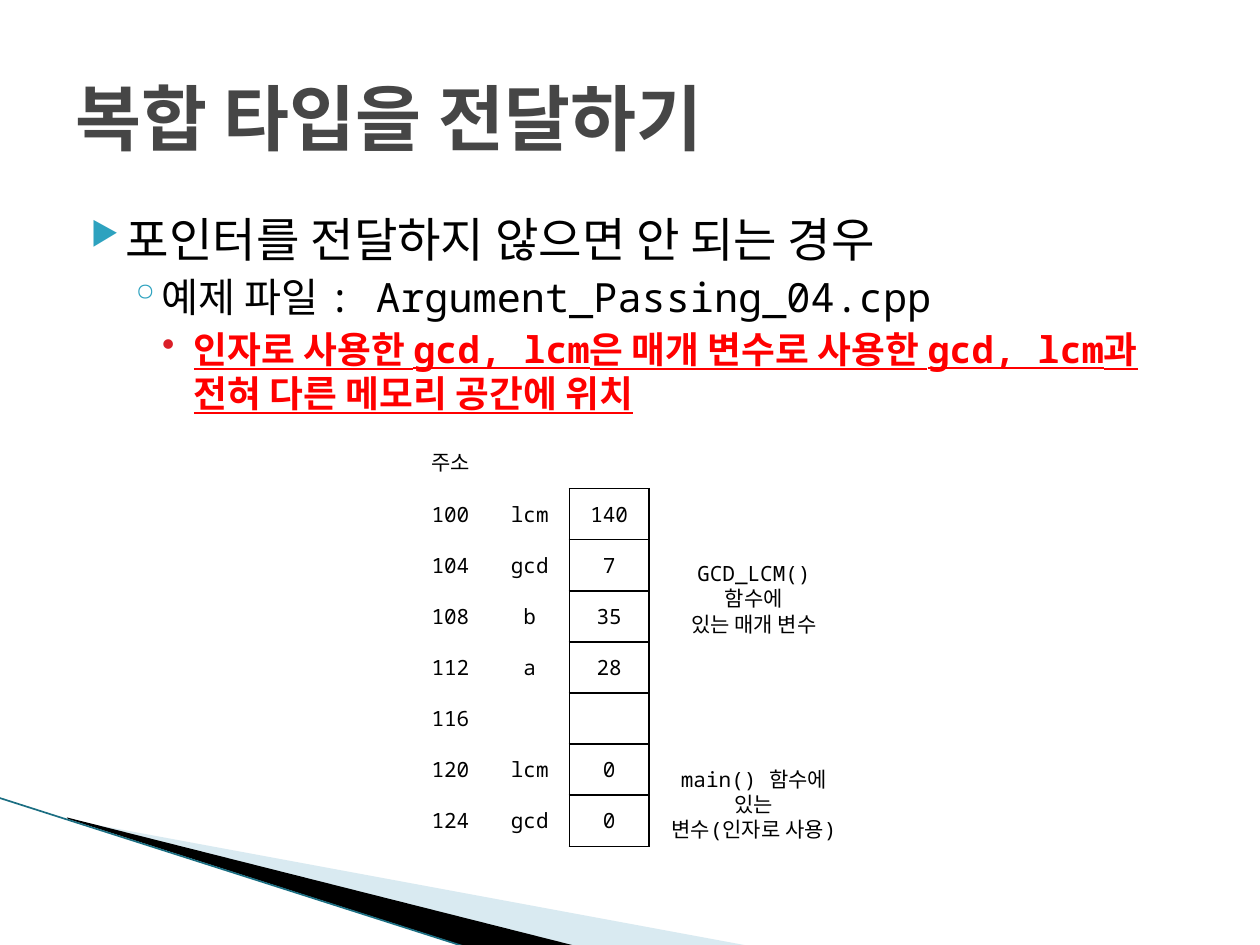
from lxml import etree
from pptx import Presentation
from pptx import util as u
from pptx.dml.color import RGBColor
from pptx.enum import shapes, text
from pptx.oxml.ns import qn

COLORS = {"ink": "000000", "title": "464646", "accent": "2DA2BF", "alert": "FF0000",
          "dot": "DA1F28", "paper": "FFFFFF", "pale": "A0CBDC", "edge": "1B6E82"}
CENTER = text.PP_ALIGN.CENTER


def color(name):
    """Return a named colour."""
    return RGBColor.from_string(COLORS[name])


def child(parent, tag, **attributes):
    """Append a drawing element and return it."""
    return etree.SubElement(parent, qn(tag), attributes)


class Slide:
    """Holds the style and the current page."""

    font = "Noto Sans Mono"

    def __init__(self, deck):
        """Add a title-only page."""
        self.page = deck.slides.add_slide(deck.slide_layouts[5])

    def style(self, para, size, ink="ink", bold=False, underline=False):
        """Format every run of a paragraph."""
        for span in para.runs:
            font = span.font
            font.name, font.size = self.font, u.Pt(size)
            font.bold, font.underline = bold, underline
            font.color.rgb = color(ink)

    def wedge(self, points, fill, alpha=None):
        """Draw a filled outline through points in centimetres."""
        points = [(u.Cm(x), u.Cm(y)) for x, y in points]
        builder = self.page.shapes.build_freeform(*points[0])
        builder.add_line_segments(points[1:], close=True)
        shape = builder.convert_to_shape()
        shape.shadow.inherit = False
        shape.line.fill.background()
        shape.fill.solid()
        shape.fill.fore_color.rgb = color(fill)
        if alpha:
            tint = shape.fill._xPr.find(".//" + qn("a:srgbClr"))
            child(tint, "a:alpha", val=str(alpha * 1000))

    def line(self, x1, y1, x2, y2, ink, width):
        """Draw a straight line."""
        line = self.page.shapes.add_connector(
            shapes.MSO_CONNECTOR.STRAIGHT, u.Cm(x1), u.Cm(y1), u.Cm(x2), u.Cm(y2))
        line.line.color.rgb = color(ink)
        line.line.width = u.Pt(width)
        child(line._element.spPr, "a:effectLst")

    def title(self, words, left, top, width, height):
        """Place and format the title."""
        box = self.page.shapes.title
        box.left, box.top, box.width, box.height = map(u.Cm, (left, top, width, height))
        frame = box.text_frame
        frame.text = words
        frame.vertical_anchor = text.MSO_ANCHOR.MIDDLE
        frame.paragraphs[0].alignment = text.PP_ALIGN.LEFT
        self.style(frame.paragraphs[0], 41, "title", bold=True)

    def box(self, lines, left, top, width, height, wrap):
        """Add a text box and return its paragraphs."""
        box = self.page.shapes.add_textbox(*map(u.Cm, (left, top, width, height)))
        frame = box.text_frame
        frame.word_wrap = wrap
        frame.text = "\n".join(lines)
        return frame.paragraphs

    def outline(self, items, left, top, width, height):
        """Add a bulleted outline, one level per item."""
        paras = self.box([item[0] for item in items], left, top, width, height, True)
        for level, (para, item) in enumerate(zip(paras, items)):
            _, size, mark, mark_ink, scale, margin, hang, before, look = item
            para.level = level
            para.space_before = u.Pt(before)
            props = para._p.get_or_add_pPr()
            props.set("marL", str(u.Cm(margin)))
            props.set("indent", str(-u.Cm(hang)))
            child(child(props, "a:buClr"), "a:srgbClr", val=COLORS[mark_ink])
            child(props, "a:buSzPct", val=str(scale * 1000))
            child(props, "a:buChar", char=mark)
            self.style(para, size, **look)

    def note(self, lines, left, top, width, height):
        """Add a centred caption."""
        for para in self.box(lines, left, top, width, height, False):
            para.alignment = CENTER
            self.style(para, 12)

    def border(self, cell, sides):
        """Give a cell black borders on the sides named by letter."""
        props = cell._tc.get_or_add_tcPr()
        for side in sides:
            line = child(props, "a:ln" + side, w=str(u.Pt(1)))
            child(child(line, "a:solidFill"), "a:srgbClr", val=COLORS["ink"])

    def memory(self, rows, left, top, column, row, header):
        """Add the memory table: address, name and boxed value."""
        frame = self.page.shapes.add_table(
            len(rows), 3, u.Cm(left), u.Cm(top), u.Cm(3 * column), u.Cm(len(rows) * row))
        table = frame.table
        table.first_row = table.horz_banding = False
        for part in table.columns:
            part.width = u.Cm(column)
        for r, values in enumerate(rows):
            table.rows[r].height = u.Cm(row if r else header)
            for c, value in enumerate(values):
                cell = table.cell(r, c)
                cell.vertical_anchor = text.MSO_ANCHOR.MIDDLE
                if r:
                    self.border(cell, ("", "R", "LRTB")[c])
                elif c == 2:
                    self.border(cell, "B")
                if r and c == 2:
                    cell.fill.background()
                else:
                    cell.fill.solid()
                    cell.fill.fore_color.rgb = color("paper")
                if value:
                    cell.text = value
                    para = cell.text_frame.paragraphs[0]
                    para.alignment = CENTER
                    self.style(para, 12)


def main():
    """Build the slide about passing compound types."""
    deck = Presentation()
    deck.slide_width, deck.slide_height = u.Cm(25.4), u.Cm(19.05)
    slide = Slide(deck)
    slide.wedge([(1.4, 16.53), (15.11, 19.07), (11.58, 19.07), (1.4, 16.51)], "pale", 40)
    slide.wedge([(1.35, 16.48), (11.61, 19.07), (9.45, 19.1), (1.37, 16.51)], "ink")
    slide.line(-0.03, 16.08, 9.42, 19.1, "edge", 0.95)

    slide.title("복합 타입을 전달하기", 1.27, 0.76, 22.86, 3.18)
    alert = {"ink": "alert", "bold": True, "underline": True}
    slide.outline([
        ("포인터를 전달하지 않으면 안 되는 경우", 27, "▶", "accent", 68, 1.02, 0.71, 4, {}),
        ("예제 파일 : Argument_Passing_04.cpp", 23, "◦", "accent", 100, 1.73, 0.64, 3.2, {}),
        ("인자로 사용한 gcd, lcm은 매개 변수로 사용한 gcd, lcm과\v전혀 다른 메모리 공간에 위치",
         21, "•", "dot", 100, 2.39, 0.64, 3.5, alert),
    ], 1.27, 4.11, 22.86, 12.57)

    names = ["lcm", "gcd", "b", "a", "", "lcm", "gcd"]
    values = ["140", "7", "35", "28", "", "0", "0"]
    rows = [("주소", "", "")]
    for i, (name, value) in enumerate(zip(names, values)):
        rows.append((str(100 + 4 * i), name, value))
    slide.memory(rows, 8.28, 8.74, 1.6, 1.03, 1.11)

    slide.note(["GCD_LCM()\v함수에", "있는 매개 변수"], 13.08, 11.18, 4.24, 1.27)
    slide.note(["main() 함수에\v있는", "변수(인자로 사용)"], 13.08, 15.32, 4.24, 1.27)
    deck.save("out.pptx")


main()
